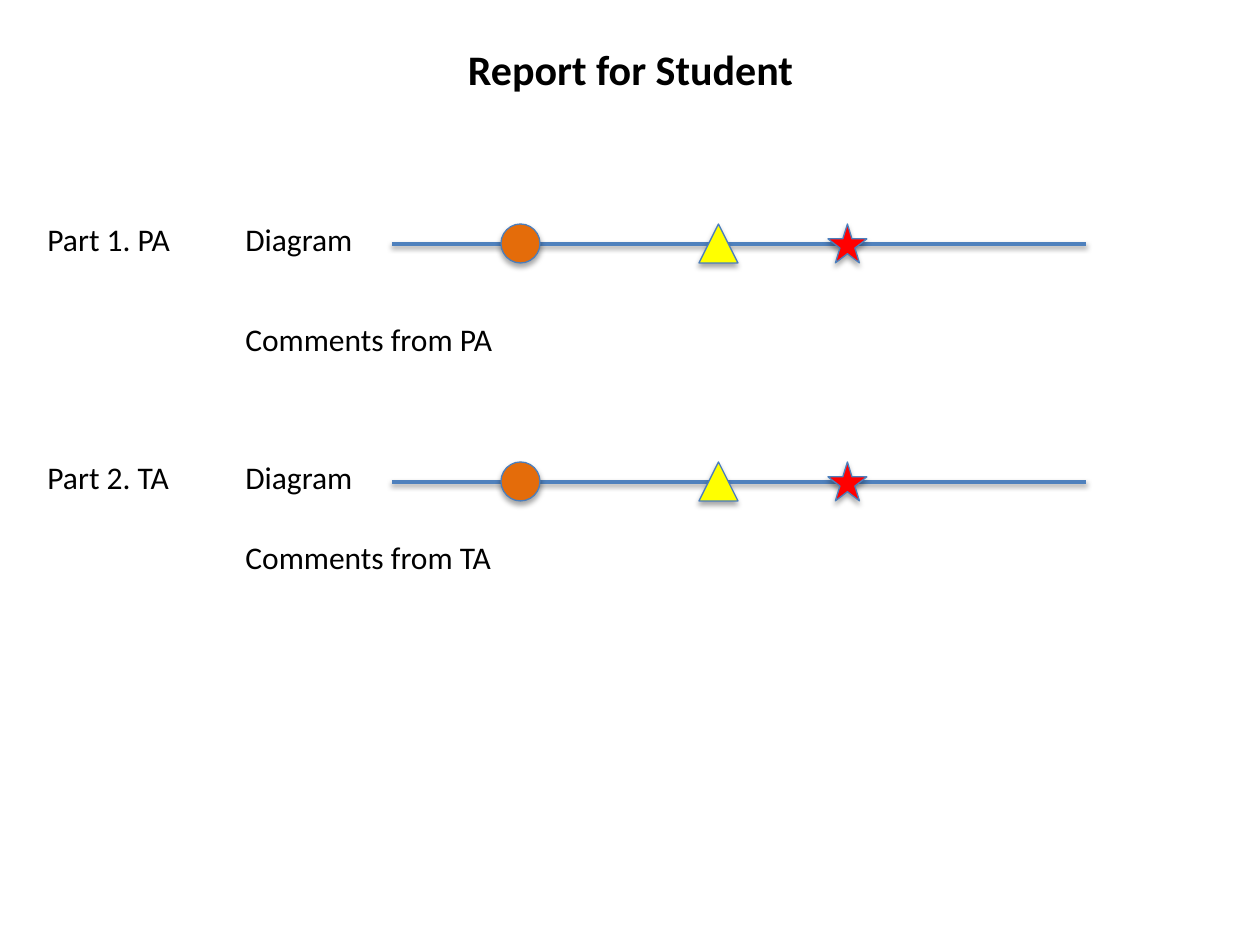
from lxml.etree import SubElement
from pptx import Presentation
from pptx.dml.color import RGBColor
from pptx.enum.shapes import MSO_CONNECTOR, MSO_SHAPE
from pptx.enum.text import MSO_ANCHOR, MSO_AUTO_SIZE, PP_ALIGN
from pptx.oxml.ns import qn
from pptx.util import Emu, Pt

SCALE = 914400 / 126
MARKER = 39
MARKERS = [(MSO_SHAPE.STAR_5_POINT, 828, "FF0000"),
           (MSO_SHAPE.ISOSCELES_TRIANGLE, 699, "FFFF00"),
           (MSO_SHAPE.OVAL, 501, "E46C0A")]


def px(n):
    return Emu(round(n * SCALE))


def rgb(color):
    return RGBColor.from_string(color)


def write(shape, text, size=18, bold=False, align=PP_ALIGN.LEFT):
    tf = shape.text_frame
    tf.word_wrap = True
    tf.auto_size = MSO_AUTO_SIZE.SHAPE_TO_FIT_TEXT
    tf.vertical_anchor = MSO_ANCHOR.TOP
    p = tf.paragraphs[0]
    p.alignment = align
    r = p.add_run()
    r.text = text
    r.font.name = "Calibri"
    r.font.size = Pt(size)
    r.font.bold = bold
    r.font.color.rgb = rgb("000000")


def add_label(shapes, x, y, w, text):
    write(shapes.add_textbox(px(x), px(y), px(w), px(50)), text)


def add_shadow(shape, alpha, distance):
    effects = SubElement(shape.element.spPr, qn("a:effectLst"))
    shadow = SubElement(effects, qn("a:outerShdw"), blurRad=str(Pt(3.1)),
                        dist=str(Pt(distance)), dir="5400000", rotWithShape="0")
    color = SubElement(shadow, qn("a:srgbClr"), val="000000")
    SubElement(color, qn("a:alpha"), val=str(alpha * 1000))


def style_line(shape, color, width):
    shape.line.color.rgb = rgb(color)
    shape.line.width = Pt(width)


def add_title(s, x, y, w, h, text):
    title = s.shapes.title
    title.left, title.top, title.width, title.height = map(px, (x, y, w, h))
    write(title, text, size=24, bold=True, align=PP_ALIGN.CENTER)


def add_diagram(s, y):
    shapes = s.shapes.add_group_shape().shapes
    # Axis
    axis = shapes.add_connector(MSO_CONNECTOR.STRAIGHT, px(392), px(y + 30),
                                px(1086), px(y + 30))
    style_line(axis, "4F81BD", 2)
    add_shadow(axis, 38, 1.6)
    # Markers
    for kind, x, fill in MARKERS:
        marker = shapes.add_shape(kind, px(x), px(y + 10), px(MARKER), px(MARKER))
        marker.fill.solid()
        marker.fill.fore_color.rgb = rgb(fill)
        style_line(marker, "4B7EBC", 0.75)
        add_shadow(marker, 35, 1.8)
    add_label(shapes, 233, y, 139, "Diagram")


def add_part(s, y, number, reviewer, comment_gap, comment_width):
    add_label(s.shapes, 35, y, 169, f"Part {number}. {reviewer}")
    add_diagram(s, y)
    add_label(s.shapes, 233, y + comment_gap, comment_width,
              f"Comments from {reviewer}")


prs = Presentation()
prs.slide_width, prs.slide_height = px(1260), px(945)
s = prs.slides.add_slide(prs.slide_layouts[5])
add_title(s, 432, 37, 397, 63, "Report for Student")
add_part(s, 214, 1, "PA", 100, 843)
add_part(s, 452, 2, "TA", 80, 863)
prs.save("out.pptx")
